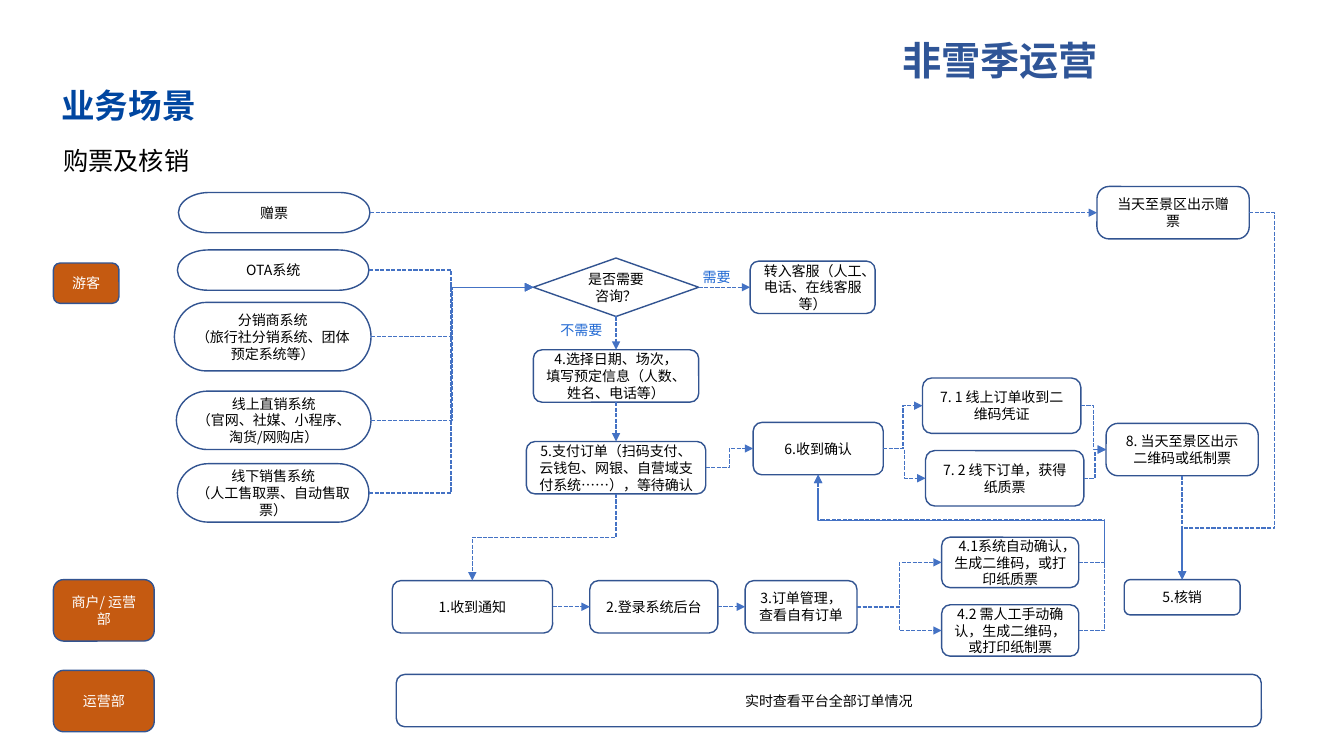
from pptx import Presentation
from pptx import util as u
from pptx.dml.color import RGBColor
from pptx.enum import dml, shapes, text
from pptx.oxml.ns import qn
from lxml import etree

PX = 9144  # 100 px to the inch
COLORS = {"white": "FFFFFF", "black": "000000", "role": "C55A11", "border": "325491",
          "arrow": "4472C4", "label": "2169D3", "heading": "0046A0", "title": "2F5597"}
FONT = "Noto Sans CJK SC"
TOP, LEFT, BOTTOM, RIGHT = range(4)
ROUND = shapes.MSO_SHAPE.ROUNDED_RECTANGLE
PILL = shapes.MSO_SHAPE.FLOWCHART_TERMINATOR
DIAMOND = shapes.MSO_SHAPE.FLOWCHART_DECISION


def rgb(name):
    return RGBColor.from_string(COLORS[name])


def write(tf, content, size=10, color="black", bold=False, font=FONT, align=None, spacing=None):
    """Fill a text frame, one paragraph per line of content."""
    for i, line in enumerate(content.split("\n")):
        p = tf.add_paragraph() if i else tf.paragraphs[0]
        p.alignment = align
        p.line_spacing = spacing
        r = p.add_run()
        r.text = line
        r.font.size = u.Pt(size)
        r.font.bold = bold
        r.font.name = font
        r.font.color.rgb = rgb(color)
        etree.SubElement(r.font._element, qn("a:ea"), typeface=font)


class Flow:
    """Style and drawing methods for the flow chart slide."""

    def __init__(self, prs):
        self.s = prs.slides.add_slide(prs.slide_layouts[6])

    def label(self, content, x, y, w, h, wrap=True, **fmt):
        tf = self.s.shapes.add_textbox(x * PX, y * PX, w * PX, h * PX).text_frame
        tf.word_wrap = wrap
        tf.auto_size = text.MSO_AUTO_SIZE.SHAPE_TO_FIT_TEXT
        write(tf, content, **fmt)

    def node(self, content, x, y, w, h, kind=ROUND, fill="white", color="black", radius=None):
        sp = self.s.shapes.add_shape(kind, x * PX, y * PX, w * PX, h * PX)
        sp.shadow.inherit = False
        sp.fill.solid()
        sp.fill.fore_color.rgb = rgb(fill)
        sp.line.color.rgb = rgb("border")
        sp.line.width = u.Pt(1)
        if radius:
            sp.adjustments[0] = radius
        tf = sp.text_frame
        tf.word_wrap = True
        tf.vertical_anchor = text.MSO_ANCHOR.MIDDLE
        write(tf, content, color=color, align=text.PP_ALIGN.CENTER)
        return sp

    def arrow(self, start, end, sides=(RIGHT, LEFT), straight=False, bends=None):
        """Join two nodes; bends are the two adjustments of a three-corner route."""
        kind = shapes.MSO_CONNECTOR.STRAIGHT if straight else shapes.MSO_CONNECTOR.ELBOW
        c = self.s.shapes.add_connector(kind, 0, 0, 0, 0)
        c.begin_connect(start, sides[0])
        c.end_connect(end, sides[1])
        c.line.color.rgb = rgb("arrow")
        c.line.width = u.Pt(1)
        c.line.dash_style = dml.MSO_LINE.SQUARE_DOT
        sppr = c._element.spPr
        etree.SubElement(sppr.find(qn("a:ln")), qn("a:tailEnd"), type="triangle")
        etree.SubElement(sppr, qn("a:effectLst"))
        if bends:
            geom = sppr.find(qn("a:prstGeom"))
            geom.set("prst", "bentConnector4")
            guides = geom.find(qn("a:avLst"))
            for i, bend in enumerate(bends, 1):
                etree.SubElement(guides, qn("a:gd"), name=f"adj{i}", fmla=f"val {round(bend * 100000)}")
        return c

    def arrow_down_left(self, start, end):
        """Elbow that leaves downwards: a quarter turn of the sideways one."""
        c = self.arrow(start, end, (BOTTOM, TOP))
        x, y, w, h = c.left, c.top, c.width, c.height
        c.left, c.top = x + (w - h) // 2, y + (h - w) // 2
        c.width, c.height = h, w
        xfrm = c._element.spPr.find(qn("a:xfrm"))
        xfrm.attrib.pop("flipH", None)
        xfrm.set("rot", str(90 * 60000))


def main():
    prs = Presentation()
    prs.slide_width, prs.slide_height = 1333 * PX, 750 * PX
    f = Flow(prs)

    # Headings
    f.label("非雪季运营", 885, 31, 217, 57, wrap=False, size=28, color="title", bold=True)
    f.label("业务场景", 51, 71, 196, 55, size=24, color="heading", bold=True, font="Arial", spacing=1.2)
    f.label("购票及核销", 53, 139, 191, 40, size=18)

    # Roles
    for role, y, w, h in (("游客", 261, 65, 40), ("商户/ 运营部", 575, 100, 61), ("运营部", 665, 100, 61)):
        f.node(role, 53, y, w, h, fill="role", color="white")

    # Sales channels
    gift = f.node("赠票", 177, 191, 190, 40, PILL)
    channels = [f.node(*channel, PILL) for channel in (
        ("OTA系统", 176, 248, 190, 40),
        ("分销商系统\n（旅行社分销系统、团体预定系统等）", 173, 300, 195, 68),
        ("线上直销系统\n（官网、社媒、小程序、淘货/网购店）", 175, 388, 193, 58),
        ("线下销售系统\n（人工售取票、自动售取票）", 176, 460, 190, 58))]

    # Visitor steps
    consult = f.node("是否需要咨询？", 529, 256, 164, 58, DIAMOND)
    service = f.node("转入客服（人工、电话、在线客服等）", 744, 259, 124, 52)
    choose = f.node("4.选择日期、场次，\n填写预定信息（人数、姓名、电话等）", 529, 347, 164, 52)
    pay = f.node("5.支付订单（扫码支付、云钱包、网银、自营域支付系统……），等待确认", 522, 438, 178, 52)
    confirmed = f.node("6.收到确认", 747, 419, 129, 52)
    online = f.node("7. 1 线上订单收到二维码凭证", 915, 375, 157, 55)
    offline = f.node("7. 2 线下订单，获得纸质票", 918, 447, 157, 55)
    show_ticket = f.node("8. 当天至景区出示二维码或纸制票", 1097, 420, 151, 52, radius=0.23)
    show_gift = f.node("当天至景区出示赠票", 1088, 185, 151, 52, radius=0.23)

    # Merchant steps
    notice = f.node("1.收到通知", 389, 576, 159, 52)
    login = f.node("2.登录系统后台", 585, 576, 127, 52)
    manage = f.node("3.订单管理，查看自有订单", 739, 576, 111, 52)
    auto = f.node("4.1系统自动确认，生成二维码，或打印纸质票", 934, 533, 136, 50)
    manual = f.node("4.2 需人工手动确认，生成二维码，或打印纸制票", 934, 600, 136, 51)
    verify = f.node("5.核销", 1115, 575, 115, 35)
    f.node("实时查看平台全部订单情况", 393, 669, 858, 52)

    # Straight arrows
    for start, end in ((gift, show_gift), (consult, service), (notice, login), (login, manage)):
        f.arrow(start, end, straight=True)
    for start, end in ((consult, choose), (choose, pay), (show_ticket, verify)):
        f.arrow(start, end, (BOTTOM, TOP), straight=True)

    # Elbow arrows
    for channel in channels:
        f.arrow(channel, consult)
    for start, end in ((pay, confirmed), (confirmed, online), (confirmed, offline), (online, show_ticket),
                       (offline, show_ticket), (manage, auto), (manage, manual)):
        f.arrow(start, end)
    f.arrow_down_left(pay, notice)
    f.arrow(auto, confirmed, (RIGHT, BOTTOM), bends=(-0.1, 0.48))
    f.arrow(manual, confirmed, (RIGHT, BOTTOM), bends=(-0.1, 0.71))
    f.arrow(show_gift, verify, (RIGHT, TOP), bends=(-0.38, 0.86))

    # Decision labels
    f.label("不需要", 546, 314, 77, 27, color="label")
    f.label("需要", 687, 261, 77, 27, color="label")

    prs.save("out.pptx")


if __name__ == "__main__":
    main()
